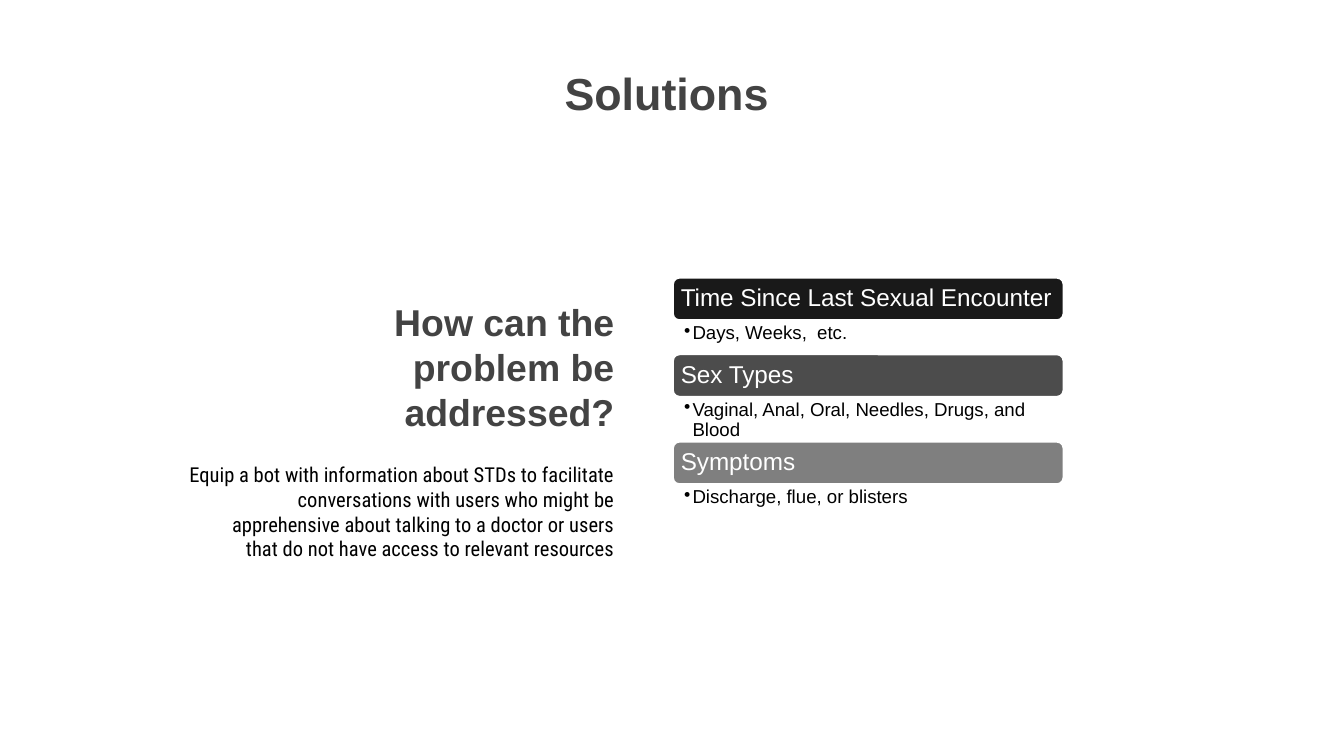
import pptx
import pptx.util
import pptx.dml.color
import pptx.enum.shapes
import pptx.enum.text
import pptx.oxml
import pptx.oxml.ns
from lxml import etree

Pt = pptx.util.Pt
ALIGN = pptx.enum.text.PP_ALIGN
ANCHOR = pptx.enum.text.MSO_ANCHOR
qn = pptx.oxml.ns.qn

COLORS = {"heading": "434343", "body": "000000", "bar": "000000", "white": "FFFFFF"}
TOPICS = [
    # title, bar opacity in percent, details, height of details
    ("Time Since Last Sexual Encounter", 90, "Days, Weeks,  etc.", 17.28),
    ("Sex Types", 70, "Vaginal, Anal, Oral, Needles, Drugs, and Blood", 23.04),
    ("Symptoms", 50, "Discharge, flue, or blisters", 17.28),
]
BAR_HEIGHT = 23.76


def rgb(name):
    return pptx.dml.color.RGBColor.from_string(COLORS[name])


def write(sp, text, size, color, font="Arial", bold=False, align=ALIGN.LEFT,
          anchor=ANCHOR.TOP, insets=(7.2, 7.2, 7.2, 7.2), indent=None,
          bullet=None, spacing=None):
    """Fill a shape with one paragraph; insets run left, top, right, bottom."""
    tf = sp.text_frame
    tf.word_wrap = True
    tf.vertical_anchor = anchor
    tf.margin_left, tf.margin_top, tf.margin_right, tf.margin_bottom = map(Pt, insets)
    p = tf.paragraphs[0]
    p.alignment = align
    if spacing:
        p.line_spacing = spacing
    pPr = p._p.get_or_add_pPr()
    if indent:
        left, first = indent
        pPr.set("marL", str(Pt(left)))
        pPr.set("indent", str(Pt(first)))
    if bullet:
        etree.SubElement(pPr, qn("a:buChar")).set("char", bullet)
    r = p.add_run()
    r.text = text
    r.font.name = font
    r.font.size = Pt(size)
    r.font.bold = bold
    r.font.color.rgb = rgb(color)


def add_text(slide, box, text, **style):
    write(slide.shapes.add_textbox(*map(Pt, box)), text, **style)


def add_bar(slide, box, title, opacity):
    sp = slide.shapes.add_shape(pptx.enum.shapes.MSO_SHAPE.ROUNDED_RECTANGLE,
                                *map(Pt, box))
    sp.shadow.inherit = False
    sp.fill.solid()
    sp.fill.fore_color.rgb = rgb("bar")
    fill = sp._element.spPr.find(qn("a:solidFill")).find(qn("a:srgbClr"))
    etree.SubElement(fill, qn("a:alpha")).set("val", str(opacity * 1000))
    sp.line.color.rgb = rgb("white")
    sp.line.width = Pt(2)
    write(sp, title, 13, "white", anchor=ANCHOR.MIDDLE,
          insets=(3.6, 3.6, 3.6, 3.6), spacing=0.9)


def add_topics(slide, left, top, width):
    """Stack each bar directly above its details."""
    for title, opacity, details, height in TOPICS:
        add_bar(slide, (left, top, width, BAR_HEIGHT), title, opacity)
        top += BAR_HEIGHT
        add_text(slide, (left, top, width, height), details, size=10, color="body",
                 insets=(6.5, 1.4, 7.2, 1.4), indent=(4.5, -4.5),
                 bullet="•", spacing=0.9)
        top += height


def add_question(slide, left, top, width):
    heading_width, heading_height = 210.24, 162
    add_text(slide, (left + width - heading_width, top, heading_width, heading_height),
             "How can the problem be addressed?", size=20, color="heading",
             bold=True, align=ALIGN.RIGHT, anchor=ANCHOR.BOTTOM)
    add_text(slide, (left, top + heading_height + 0.72, width, 140.4),
             "Equip a bot with information about STDs to facilitate conversations "
             "with users who might be apprehensive about talking to a doctor or "
             "users that do not have access to relevant resources",
             size=11, color="body", font="Roboto Condensed", align=ALIGN.RIGHT,
             indent=(36, -23.76))


def main():
    prs = pptx.Presentation()
    prs.slide_width, prs.slide_height = Pt(720), Pt(405)
    slide = prs.slides.add_slide(prs.slide_layouts[6])
    add_question(slide, 70.56, 77.76, 265.68)
    add_text(slide, (151.92, 28.08, 410.4, 74.16), "Solutions", size=24,
             color="heading", bold=True, align=ALIGN.CENTER)
    add_topics(slide, 360, 148.32, 210.24)
    prs.save("out.pptx")


if __name__ == "__main__":
    main()
